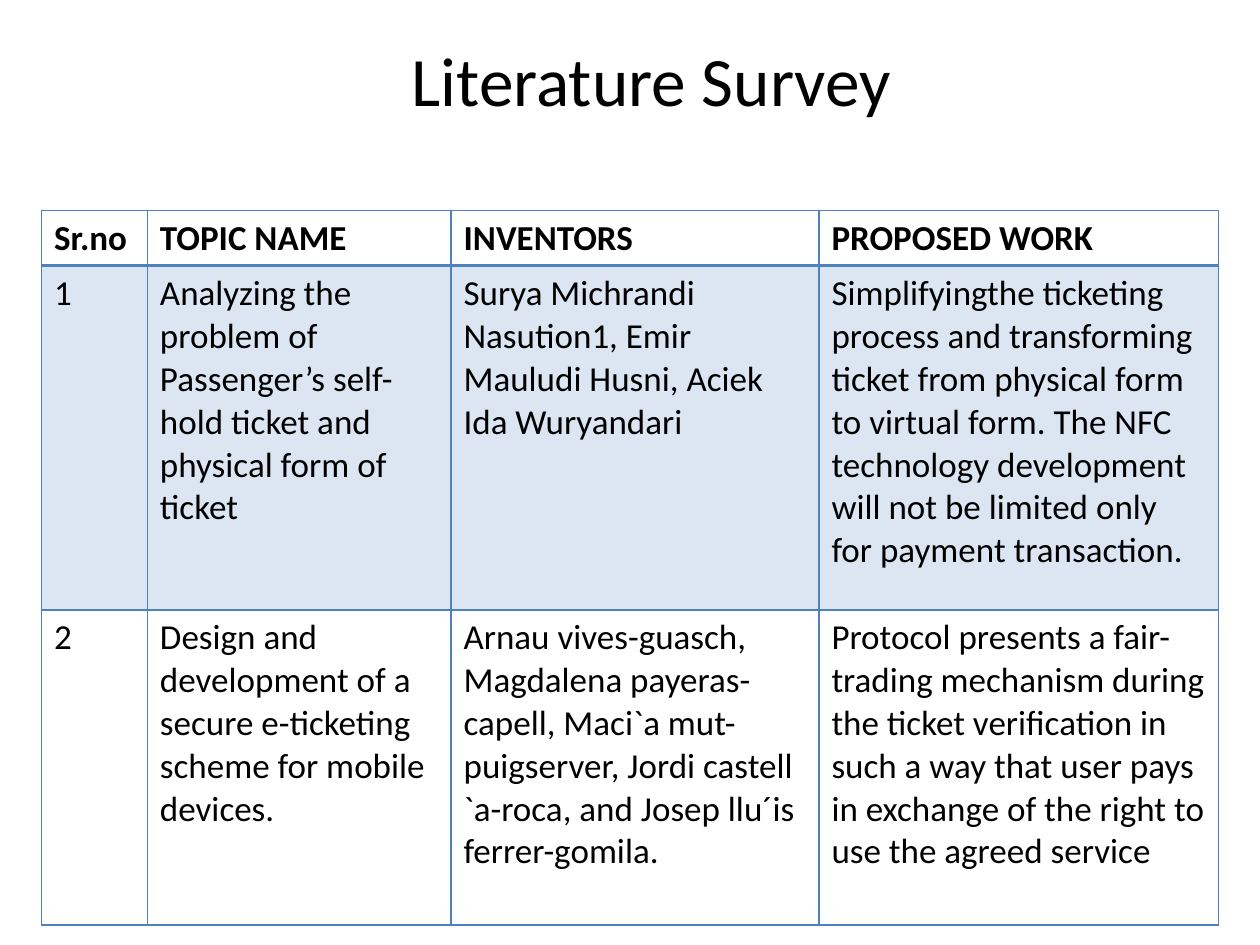
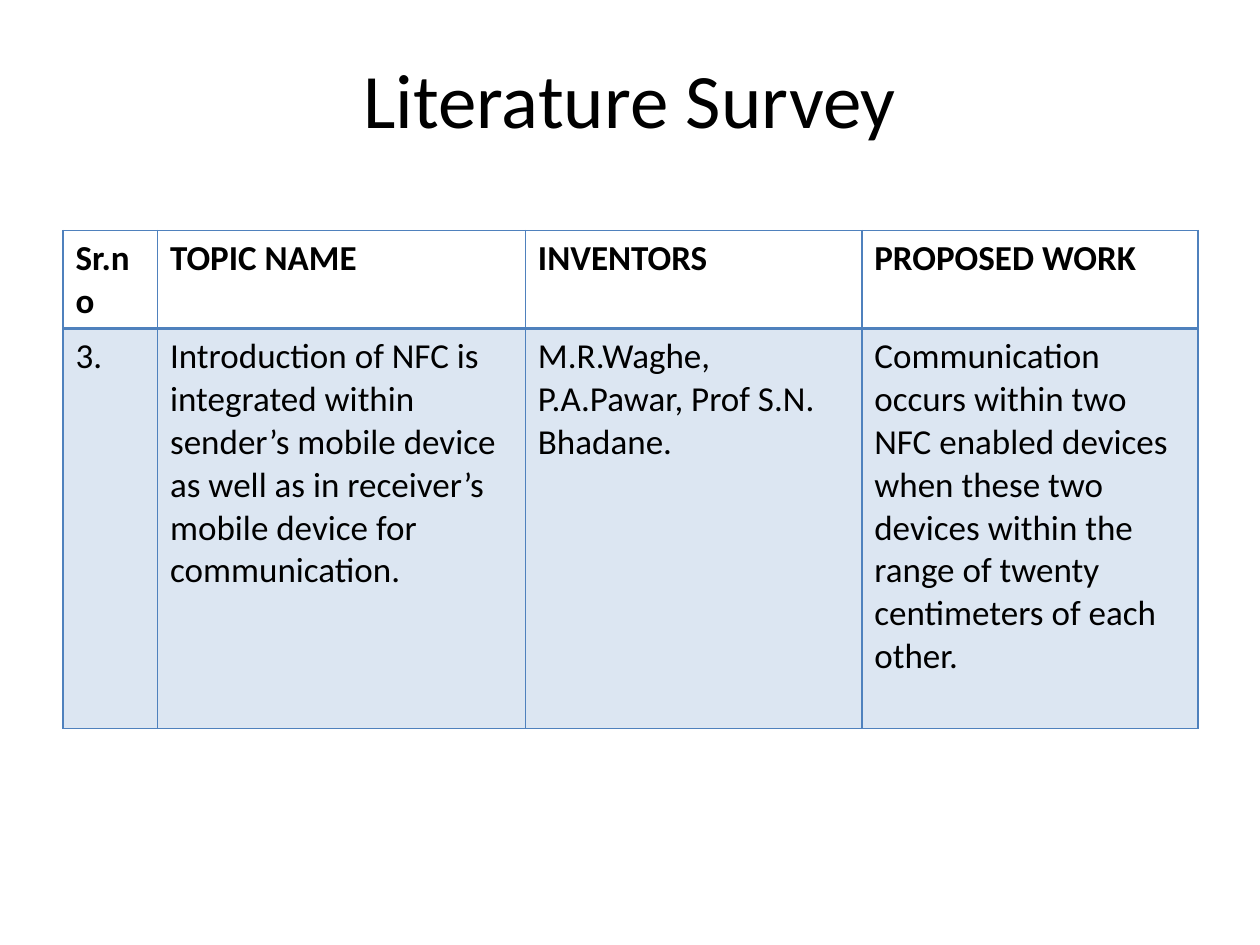
from lxml import etree
from pptx import Presentation
from pptx.dml.color import RGBColor
from pptx.enum import text
from pptx.oxml import ns
from pptx.util import Inches, Pt

BLACK = RGBColor(0x00, 0x00, 0x00)
BORDER_BLUE = RGBColor(0x4F, 0x81, 0xBD)
BAND_BLUE = RGBColor(0xDC, 0xE6, 0xF2)
FONT = "Calibri"
HEADINGS = ("Sr.no", "TOPIC NAME", "INVENTORS", "PROPOSED WORK")


class SurveyDeck:
    """Holds the shared style and the current slide."""

    def __init__(self):
        self.presentation = Presentation()
        self.presentation.slide_width = Inches(10)
        self.presentation.slide_height = Inches(7.5)
        self.slide = None

    def add_slide(self):
        title_only = self.presentation.slide_layouts[5]
        self.slide = self.presentation.slides.add_slide(title_only)

    def style(self, paragraph, size, bold=False):
        font = paragraph.font
        font.name, font.size, font.bold = FONT, Pt(size), bold
        font.color.rgb = BLACK

    def add_title(self, wording, left, top, width, height, size):
        title = self.slide.shapes.title
        title.left, title.top = Inches(left), Inches(top)
        title.width, title.height = Inches(width), Inches(height)
        frame = title.text_frame
        frame.text = wording
        frame.auto_size = text.MSO_AUTO_SIZE.NONE
        frame.vertical_anchor = text.MSO_ANCHOR.MIDDLE
        paragraph = frame.paragraphs[0]
        paragraph.alignment = text.PP_ALIGN.CENTER
        self.style(paragraph, size)

    def add_border(self, cell, side, points):
        properties = cell._tc.get_or_add_tcPr()
        line = etree.SubElement(properties, ns.qn(f"a:ln{side}"), w=str(Pt(points)))
        fill = etree.SubElement(line, ns.qn("a:solidFill"))
        etree.SubElement(fill, ns.qn("a:srgbClr"), val=str(BORDER_BLUE))

    def add_survey_table(self, left, top, widths, heights, entries):
        rows = [HEADINGS, *entries]
        frame = self.slide.shapes.add_table(
            len(rows), len(widths), Inches(left), Inches(top),
            Inches(sum(widths)), Inches(sum(heights)))
        table = frame.table
        table.first_row = table.horz_banding = False
        for column, width in zip(table.columns, widths):
            column.width = Inches(width)
        for number, (row, height, wordings) in enumerate(zip(table.rows, heights, rows)):
            row.height = Inches(height)
            for cell, wording in zip(row.cells, wordings):
                self.fill_cell(cell, wording, number)

    def fill_cell(self, cell, wording, row_number):
        cell.text = wording
        self.style(cell.text_frame.paragraphs[0], 20, bold=row_number == 0)
        # The rule under the heading row is twice as thick
        top = 2 if row_number == 1 else 1
        bottom = 2 if row_number == 0 else 1
        for side, points in (("L", 1), ("R", 1), ("T", top), ("B", bottom)):
            self.add_border(cell, side, points)
        # Odd entries are banded
        if row_number % 2:
            cell.fill.solid()
            cell.fill.fore_color.rgb = BAND_BLUE
        else:
            cell.fill.background()


def main():
    deck = SurveyDeck()

    # Slide 1: entries 1 and 2
    deck.add_slide()
    deck.add_title("Literature Survey", 0.67, 0.25, 9, 0.75, 39.6)
    deck.add_survey_table(0.33, 1.67, (0.84, 2.41, 2.92, 3.17), (0.44, 2.73, 2.5), [
        ("1",
         "Analyzing the problem of Passenger’s self-hold ticket and physical form of ticket",
         "Surya Michrandi Nasution1, Emir Mauludi Husni, Aciek Ida Wuryandari",
         "Simplifyingthe ticketing process and transforming ticket from physical form to "
         "virtual form. The NFC technology development will not be limited only for "
         "payment transaction."),
        ("2",
         "Design and development of a secure e-ticketing scheme for mobile devices.",
         "Arnau vives-guasch, Magdalena payeras-capell, Maci`a mut-puigserver, "
         "Jordi castell `a-roca, and Josep llu´is ferrer-gomila.",
         "Protocol presents a fair-trading mechanism during the ticket verification in "
         "such a way that user pays in exchange of the right to use the agreed service"),
    ])

    # Slide 2: entry 3
    deck.add_slide()
    deck.add_title("Literature Survey", 0.5, 0.3, 9, 0.95, 44)
    deck.add_survey_table(0.5, 1.83, (0.75, 2.92, 2.67, 2.67), (0.78, 3.17), [
        ("3.",
         "Introduction of NFC is integrated within sender’s mobile device as well as in "
         "receiver’s mobile device for communication.",
         "M.R.Waghe, P.A.Pawar, Prof S.N. Bhadane.",
         "Communication occurs within two NFC enabled devices when these two devices "
         "within the range of twenty centimeters of each other."),
    ])

    deck.presentation.save("out.pptx")


if __name__ == "__main__":
    main()
